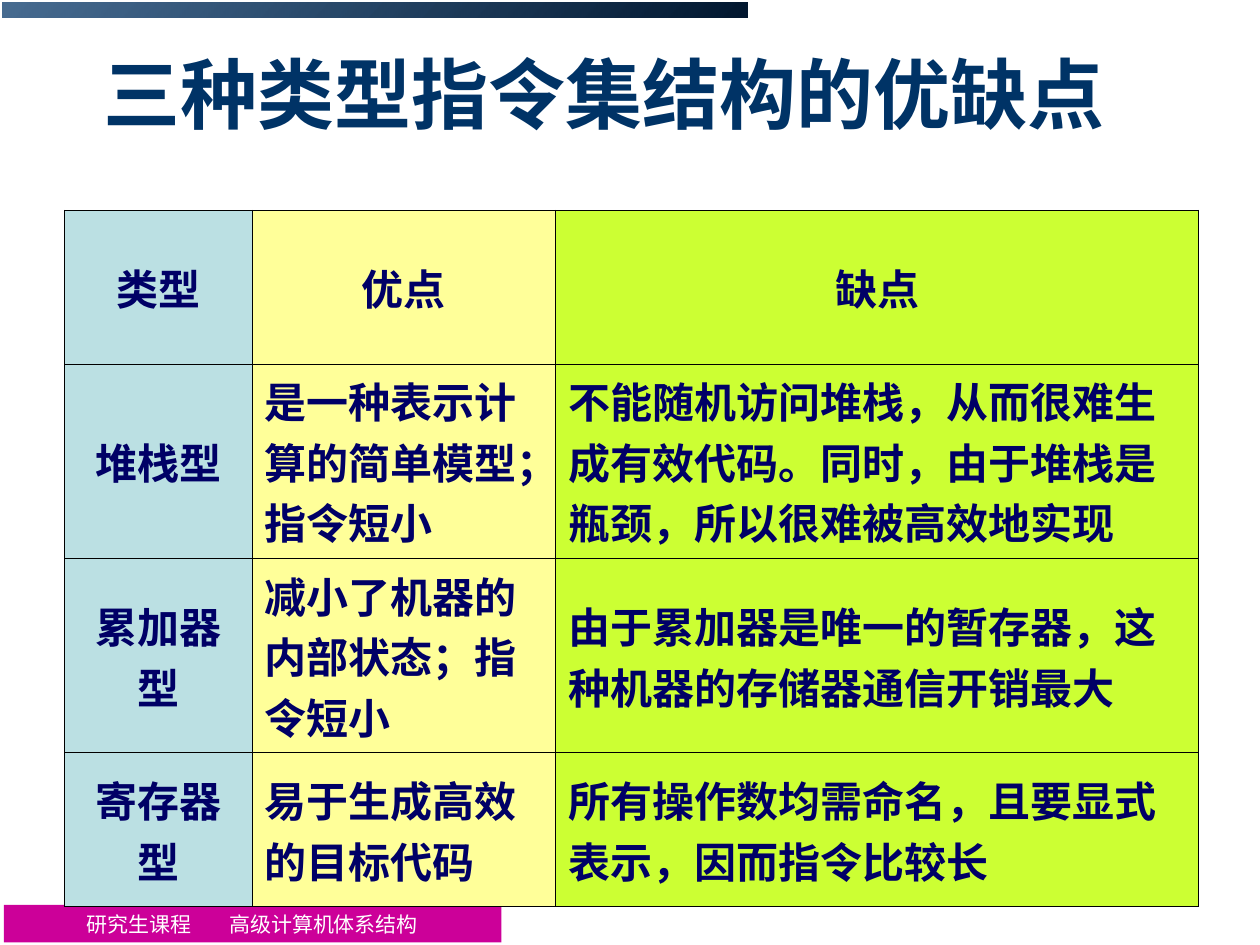
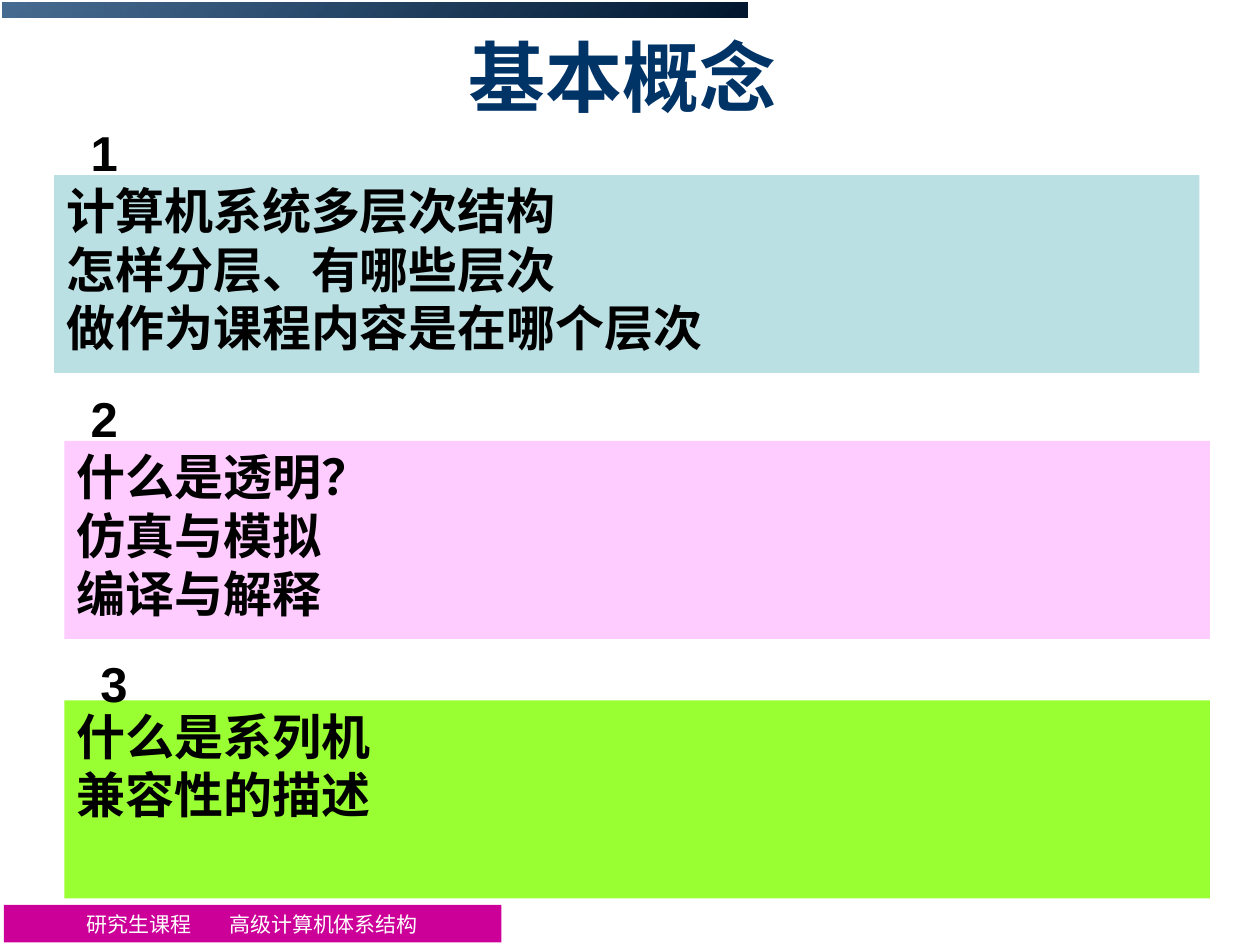
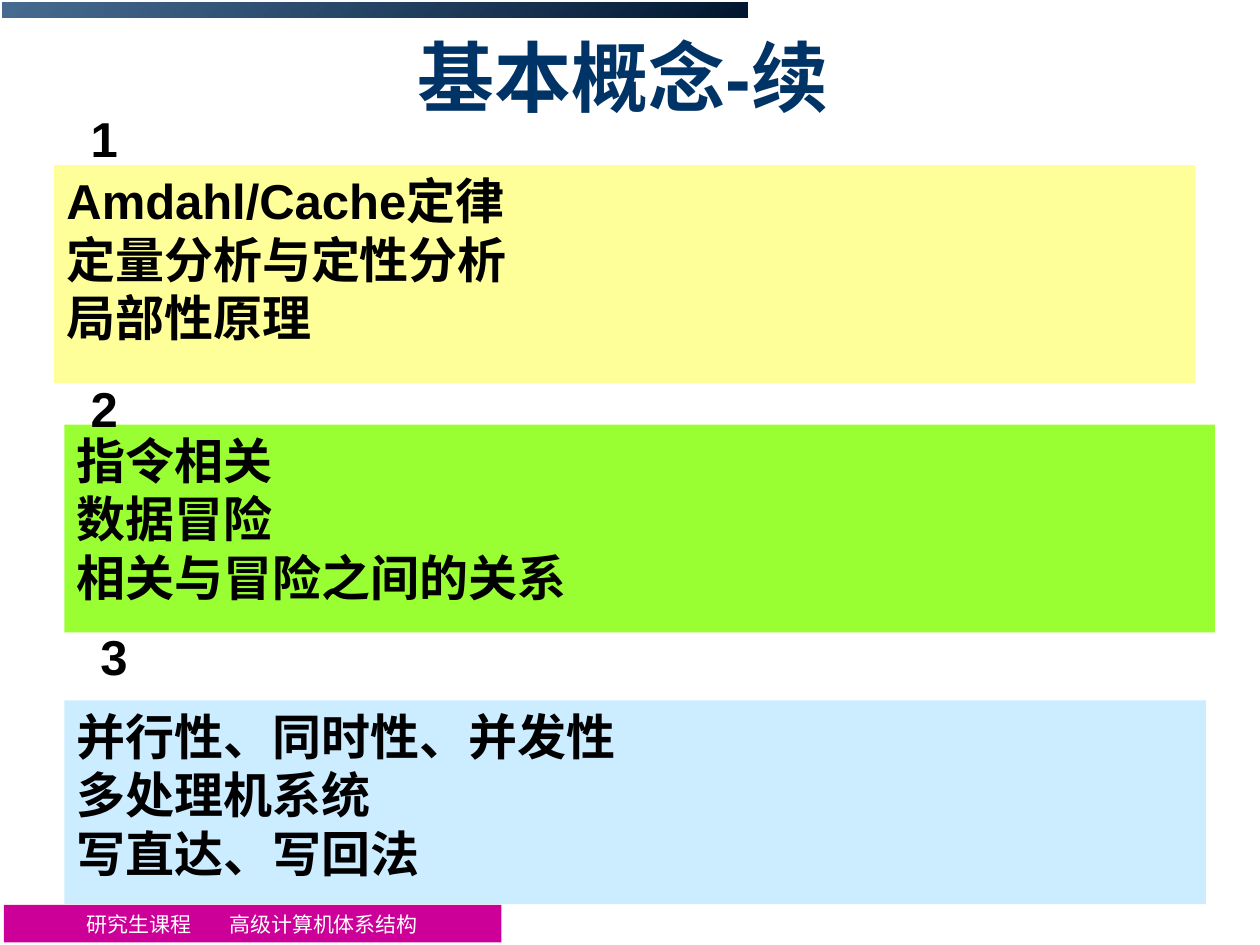
"""Build three course slides: a comparison table and two concept reviews."""
from dataclasses import dataclass

from lxml import etree
from pptx import Presentation
from pptx.dml.color import RGBColor
from pptx.enum import shapes, text
from pptx.oxml.ns import qn
from pptx.util import Cm, Pt

CENTER = text.PP_ALIGN.CENTER
LEFT = text.PP_ALIGN.LEFT
MIDDLE = text.MSO_ANCHOR.MIDDLE


@dataclass(frozen=True)
class TextStyle:
    size: float
    color: str
    bold: bool = True
    font: str = "Arial"
    leading: float = None


@dataclass(frozen=True)
class Theme:
    title = TextStyle(44, "003366")
    concept = TextStyle(28, "000000", leading=33.4)
    cell = TextStyle(24, "000066", leading=34.6)
    footer = TextStyle(12, "FFFFFF", bold=False, font="Times New Roman")
    band_start = "003366"
    band_end = "00172F"
    magenta = "CC0099"
    teal = "BBE0E3"
    yellow = "FFFF99"
    lime = "CCFF33"
    green = "99FF33"
    pink = "FFCCFF"
    sky = "CCECFF"
    border = "000000"
    border_width = Pt(0.45)


THEME = Theme()

COMPARISON = [
    ("类型", "优点", "缺点"),
    ("堆栈型", "是一种表示计算的简单模型；指令短小",
     "不能随机访问堆栈，从而很难生成有效代码。同时，由于堆栈是瓶颈，所以很难被高效地实现"),
    ("累加器型", "减小了机器的内部状态；指令短小",
     "由于累加器是唯一的暂存器，这种机器的存储器通信开销最大"),
    ("寄存器型", "易于生成高效的目标代码",
     "所有操作数均需命名，且要显式表示，因而指令比较长"),
]

CONCEPTS = [
    (2.36, (1.09, 3.53, 23.09, 3.99), THEME.teal,
     "计算机系统多层次结构\n怎样分层、有哪些层次\n做作为课程内容是在哪个层次"),
    (7.72, (1.3, 8.89, 23.09, 3.99), THEME.pink,
     "什么是透明？\n仿真与模拟\n编译与解释"),
    (13.06, (1.3, 14.12, 23.09, 3.99), THEME.green,
     "什么是系列机\n兼容性的描述"),
]

MORE_CONCEPTS = [
    (2.08, (1.09, 3.33, 23.01, 4.39), THEME.yellow,
     "Amdahl/Cache定律\n定量分析与定性分析\n局部性原理"),
    (7.52, (1.3, 8.56, 23.19, 4.19), THEME.green,
     "指令相关\n数据冒险\n相关与冒险之间的关系"),
    (12.52, (1.3, 14.12, 23.01, 4.11), THEME.sky,
     "并行性、同时性、并发性\n多处理机系统\n写直达、写回法"),
]

NUMBER_LEFTS = (1.3, 1.3, 1.5)


def rgb(color):
    """Return the colour object for a hex value."""
    return RGBColor.from_string(color)


def write(frame, words, style, align=LEFT):
    """Set the words of a text frame and format every run."""
    frame.word_wrap = True
    frame.text = words
    for paragraph in frame.paragraphs:
        paragraph.alignment = align
        if style.leading:
            paragraph.line_spacing = Pt(style.leading)
        for run in paragraph.runs:
            run.font.name = style.font
            run.font.size = Pt(style.size)
            run.font.bold = style.bold
            run.font.color.rgb = rgb(style.color)


def add_panel(slide, place, color):
    """Add a plain rectangle without line or shadow."""
    panel = slide.shapes.add_shape(shapes.MSO_SHAPE.RECTANGLE, *map(Cm, place))
    panel.shadow.inherit = False
    panel.line.fill.background()
    panel.fill.solid()
    panel.fill.fore_color.rgb = rgb(color)
    panel.text_frame.vertical_anchor = text.MSO_ANCHOR.TOP
    return panel


def add_top_band(slide):
    """Add the gradient band along the top edge."""
    band = add_panel(slide, (0.05, 0.05, 15.01, 0.3), THEME.band_start)
    band.fill.gradient()
    band.fill.gradient_angle = 315
    for stop, color in zip(band.fill.gradient_stops, (THEME.band_start, THEME.band_end)):
        stop.color.rgb = rgb(color)
    start = band.element.spPr.find(".//" + qn("a:srgbClr"))
    etree.SubElement(start, qn("a:alpha"), val="72000")
    return band


def add_footer(slide):
    """Add the course footer with its two tabbed parts."""
    footer = add_panel(slide, (0.08, 18.24, 10.03, 0.76), THEME.magenta)
    frame = footer.text_frame
    frame.margin_left = Cm(1.66)
    frame.vertical_anchor = MIDDLE
    write(frame, "研究生课程\t高级计算机体系结构", THEME.footer)
    properties = frame.paragraphs[0].runs[0].font and footer.element.find(".//" + qn("a:pPr"))
    tabs = etree.SubElement(properties, qn("a:tabLst"))
    etree.SubElement(tabs, qn("a:tab"), pos=str(Cm(2.88)), algn="l")
    return footer


def share_on_layout(slide):
    """Put the top band and footer on the layout of a slide."""
    tree = slide.slide_layout.element.cSld.spTree
    for decoration in (add_top_band(slide), add_footer(slide)):
        tree.append(decoration.element)


def set_title(slide, words, place, anchor=MIDDLE):
    """Place and format the slide title."""
    title = slide.shapes.title
    title.left, title.top, title.width, title.height = map(Cm, place)
    frame = title.text_frame
    frame.margin_left = frame.margin_right = 0
    frame.margin_top = frame.margin_bottom = 0
    frame.auto_size = text.MSO_AUTO_SIZE.NONE
    frame.vertical_anchor = anchor
    write(frame, words, THEME.title, CENTER)


def add_borders(cell):
    """Draw thin lines on the four sides of a cell."""
    properties = cell._tc.get_or_add_tcPr()
    for side in ("a:lnL", "a:lnR", "a:lnT", "a:lnB"):
        line = etree.SubElement(properties, qn(side), w=str(THEME.border_width))
        fill = etree.SubElement(line, qn("a:solidFill"))
        etree.SubElement(fill, qn("a:srgbClr"), val=THEME.border)


def add_comparison(slide):
    """Add the table of advantages and drawbacks."""
    widths, heights = (3.78, 6.12, 12.96), (3.1, 3.3, 3.3, 3.1)
    place = (1.3, 4.24, sum(widths), sum(heights))
    table = slide.shapes.add_table(
        len(heights), len(widths), *map(Cm, place)).table
    table.first_row = table.horz_banding = False
    for column, width in zip(table.columns, widths):
        column.width = Cm(width)
    for row, height in zip(table.rows, heights):
        row.height = Cm(height)
    colors = (THEME.teal, THEME.yellow, THEME.lime)
    for r, entries in enumerate(COMPARISON):
        for c, (entry, color) in enumerate(zip(entries, colors)):
            cell = table.cell(r, c)
            add_borders(cell)
            cell.fill.solid()
            cell.fill.fore_color.rgb = rgb(color)
            cell.vertical_anchor = MIDDLE
            write(cell.text_frame, entry, THEME.cell,
                  CENTER if r == 0 or c == 0 else LEFT)


def add_number(slide, number, left, top):
    """Add the number above a concept panel."""
    label = slide.shapes.add_textbox(Cm(left), Cm(top), Cm(1.6), Cm(1.45))
    write(label.text_frame, str(number), THEME.concept, CENTER)


def add_concepts(slide, title, concepts):
    """Fill a slide with a title and numbered concept panels."""
    set_title(slide, title, (1.3, 0.71, 22.86, 1.63))
    for number, (left, concept) in enumerate(zip(NUMBER_LEFTS, concepts), 1):
        number_top, place, color, topics = concept
        panel = add_panel(slide, place, color)
        write(panel.text_frame, topics, THEME.concept)
        add_number(slide, number, left, number_top)


def main():
    """Build and save the presentation."""
    prs = Presentation()
    prs.slide_width, prs.slide_height = Cm(25.4), Cm(19.05)
    title_only = prs.slide_layouts[5]
    types, basics, more_basics = (prs.slides.add_slide(title_only) for _ in range(3))
    share_on_layout(types)
    set_title(types, "三种类型指令集结构的优缺点",
              (1.65, 0.84, 21.06, 1.96), text.MSO_ANCHOR.BOTTOM)
    add_comparison(types)
    add_concepts(basics, "基本概念 ", CONCEPTS)
    add_concepts(more_basics, "基本概念-续 ", MORE_CONCEPTS)
    prs.save("out.pptx")


if __name__ == "__main__":
    main()
